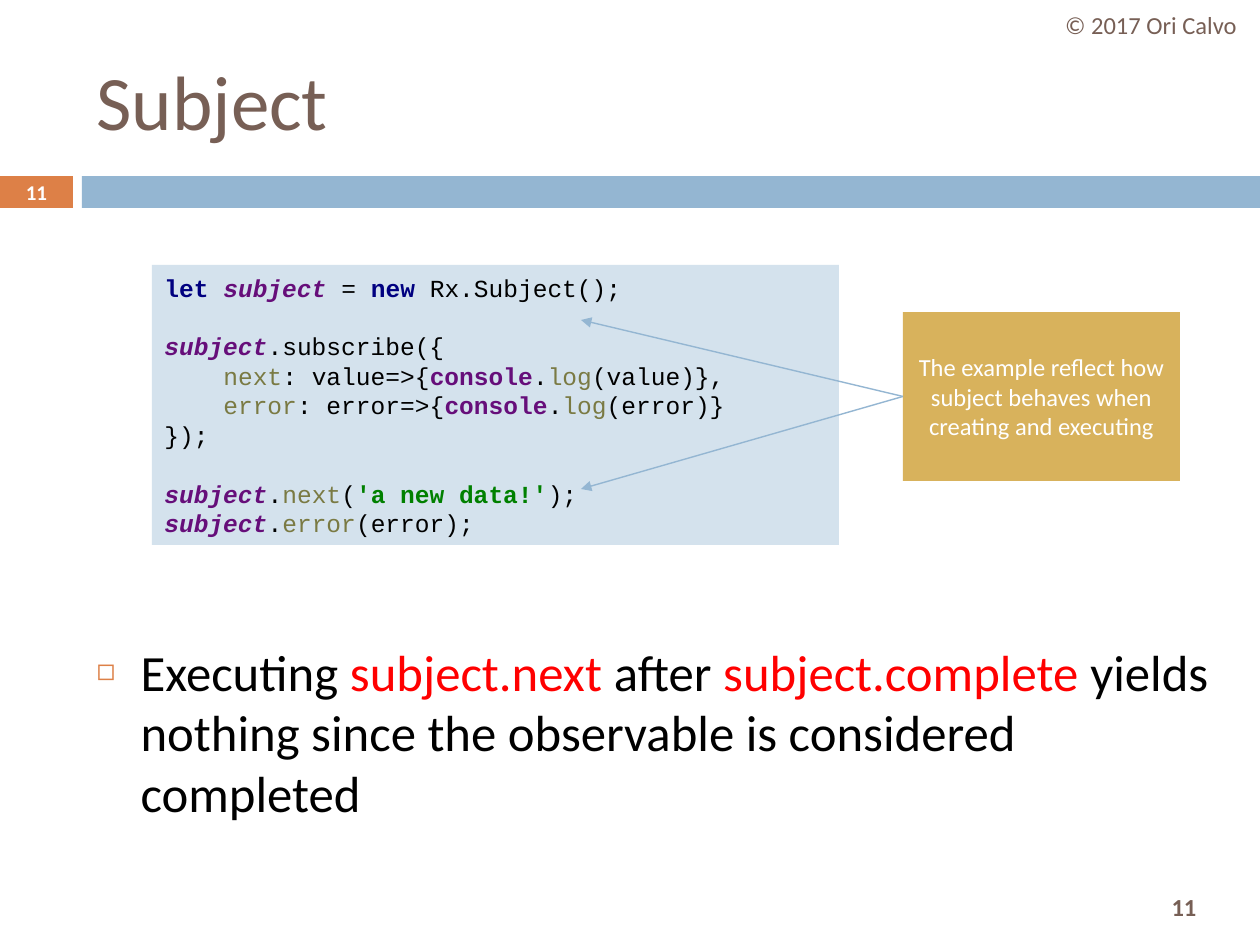
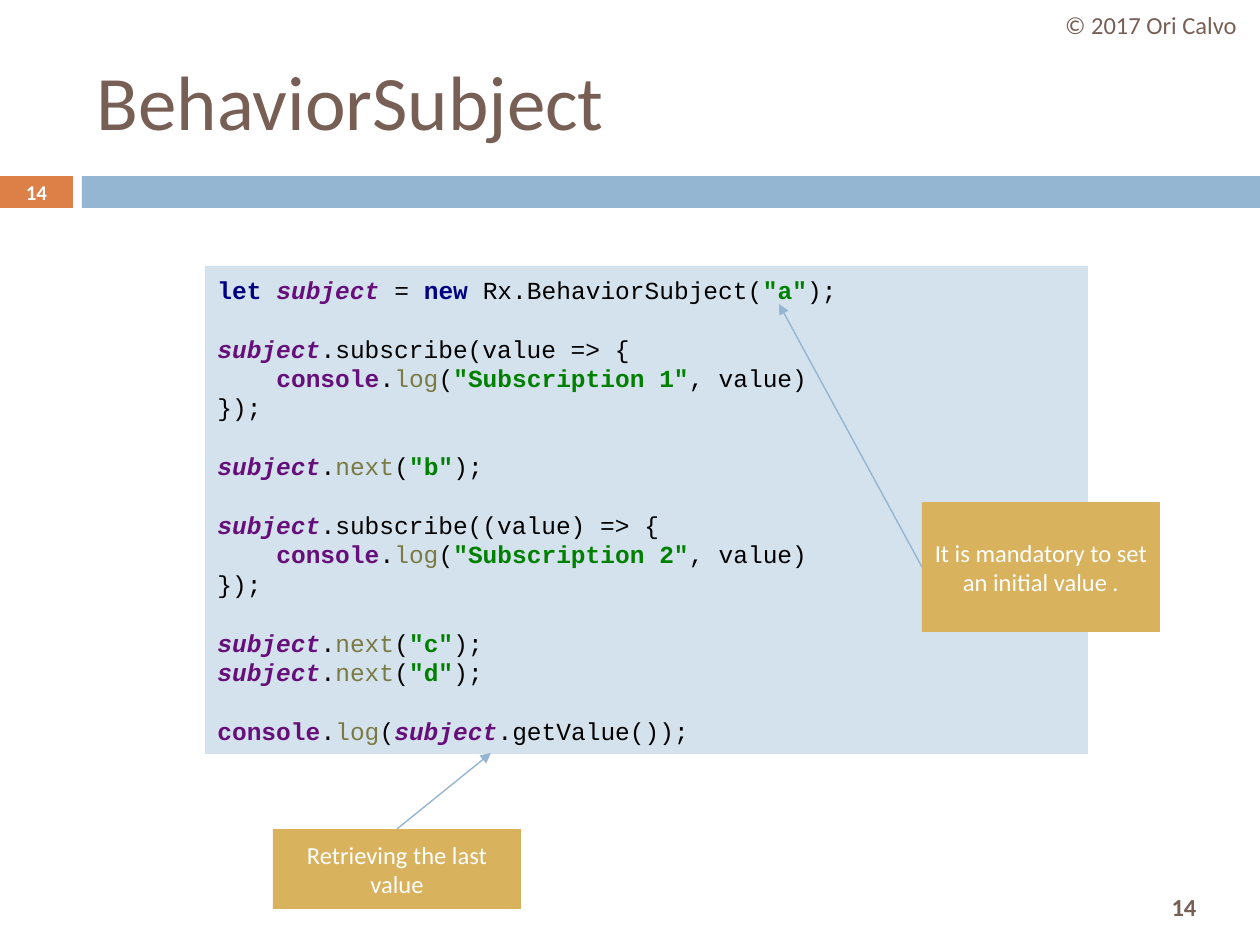
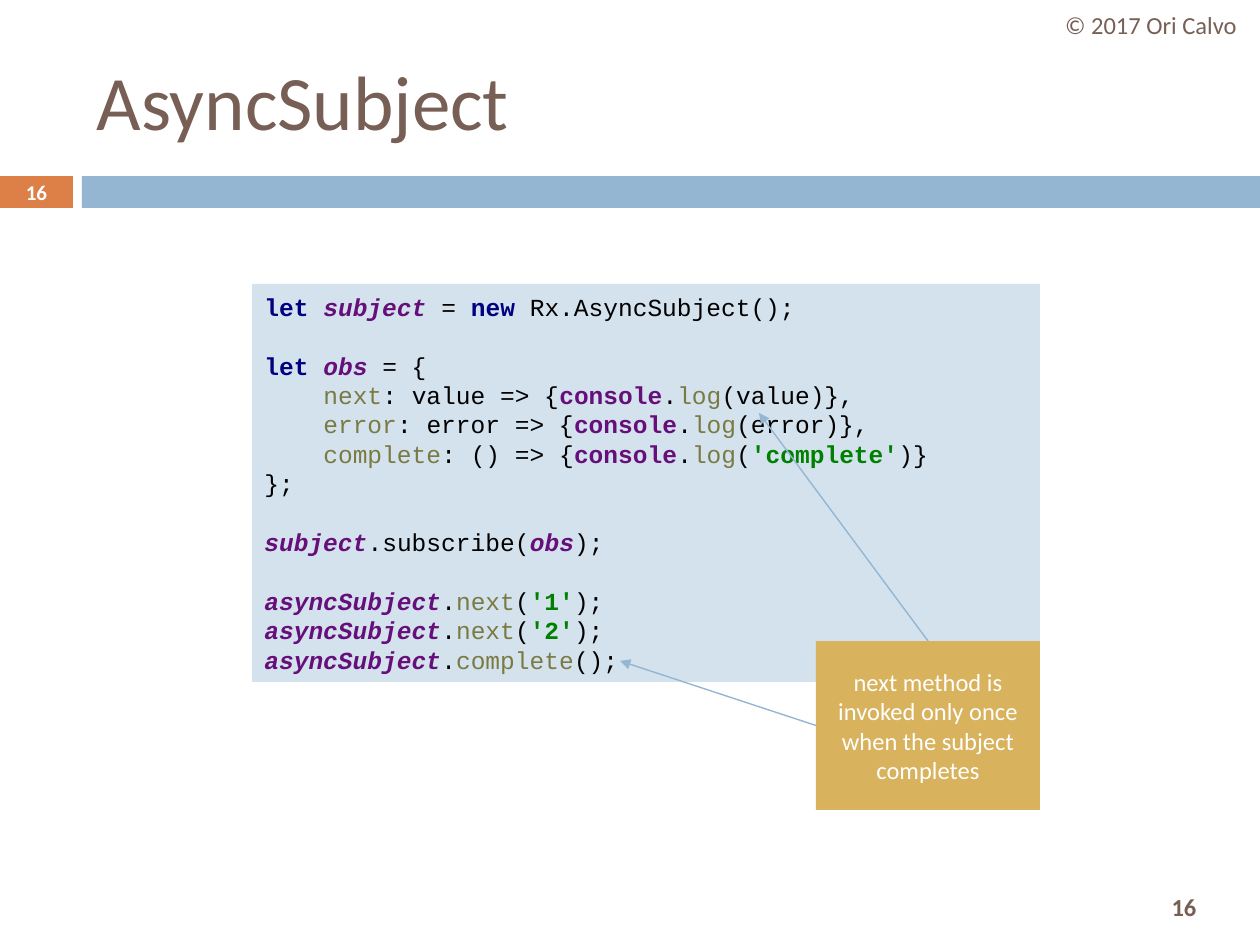
from itertools import groupby

from lxml.etree import SubElement
from pptx import Presentation
from pptx.dml.color import RGBColor
from pptx.enum.shapes import MSO_CONNECTOR, MSO_SHAPE
from pptx.enum.text import MSO_ANCHOR, MSO_AUTO_SIZE, PP_ALIGN
from pptx.oxml.ns import qn
from pptx.util import Emu, Pt

WHITE = RGBColor(0xFF, 0xFF, 0xFF)
BLACK = RGBColor(0x00, 0x00, 0x00)
RED = RGBColor(0xFF, 0x00, 0x00)
BROWN = RGBColor(0x77, 0x5F, 0x55)
ORANGE = RGBColor(0xDD, 0x80, 0x47)
BLUE = RGBColor(0x94, 0xB6, 0xD2)
PALE_BLUE = RGBColor(0xD4, 0xE2, 0xED)
GOLD = RGBColor(0xD8, 0xB2, 0x5C)
NAVY = RGBColor(0x00, 0x00, 0x80)
PURPLE = RGBColor(0x66, 0x0E, 0x7A)
OLIVE = RGBColor(0x7A, 0x7A, 0x43)
GREEN = RGBColor(0x00, 0x80, 0x00)

TEXT_FONT = "Calibri"
CODE_FONT = "Courier New"
CODE_SIZE = 14
COPYRIGHT = "© 2017 Ori Calvo"

KEYWORDS = {"let", "new"}
VARIABLES = {"subject", "asyncSubject", "obs"}
MEMBERS = {"next", "error", "complete", "log"}

# Connection sites of a rectangle
TOP, LEFT = 0, 1

# Boxes are (left, top, width, height) in px; an arrow is (side of the note, tip)
SLIDES = [
    {
        "title": "Subject",
        "number": 11,
        "code_box": (152, 265, 687, 280),
        "code": """\
let subject = new Rx.Subject();

subject.subscribe({
    next: value=>{console.log(value)},
    error: error=>{console.log(error)}
});

subject.next('a new data!');
subject.error(error);""",
        "notes": [
            {
                "text": "The example reflect how subject behaves when creating and executing",
                "box": (903, 312, 277, 169),
                "arrows": [(LEFT, (581, 489)), (LEFT, (581, 320))],
            },
        ],
        "bullet": [
            ("Executing ", BLACK),
            ("subject.next", RED),
            (" after ", BLACK),
            ("subject.complete", RED),
            (" yields nothing since the observable is considered completed", BLACK),
        ],
    },
    {
        "title": "BehaviorSubject",
        "number": 14,
        "code_box": (205, 266, 883, 488),
        "code": """\
let subject = new Rx.BehaviorSubject("a");

subject.subscribe(value => {
    console.log("Subscription 1", value)
});

subject.next("b");

subject.subscribe((value) => {
    console.log("Subscription 2", value)
});

subject.next("c");
subject.next("d");

console.log(subject.getValue());""",
        "notes": [
            {
                "text": "It is mandatory to set an initial value .",
                "box": (922, 502, 238, 130),
                "arrows": [(LEFT, (779, 304))],
            },
            {
                "text": "Retrieving the last value",
                "box": (273, 829, 248, 80),
                "arrows": [(TOP, (491, 753))],
            },
        ],
    },
    {
        "title": "AsyncSubject",
        "number": 16,
        "code_box": (252, 284, 788, 398),
        "code": """\
let subject = new Rx.AsyncSubject();

let obs = {
    next: value => {console.log(value)},
    error: error => {console.log(error)},
    complete: () => {console.log('complete')}
};

subject.subscribe(obs);

asyncSubject.next('1');
asyncSubject.next('2');
asyncSubject.complete();""",
        "notes": [
            {
                "text": "next method is invoked only once when the subject completes",
                "box": (816, 641, 224, 169),
                "arrows": [(TOP, (759, 413)), (LEFT, (620, 661))],
            },
        ],
    },
]


def px(length):
    return Emu(round(length * 914400 / 126))


def place(shape, box):
    shape.left, shape.top, shape.width, shape.height = map(px, box)


def add_run(paragraph, text, size, color, bold=False, italic=False, font=TEXT_FONT):
    run = paragraph.add_run()
    run.text = text
    run.font.name = font
    run.font.size = Pt(size)
    run.font.color.rgb = color
    run.font.bold = bold
    run.font.italic = italic


def prepare_text(shape, alignment, anchor=MSO_ANCHOR.MIDDLE):
    """Set wrapping and alignment, and return the first paragraph."""
    frame = shape.text_frame
    frame.word_wrap = True
    frame.auto_size = MSO_AUTO_SIZE.NONE
    frame.vertical_anchor = anchor
    paragraph = frame.paragraphs[0]
    paragraph.alignment = alignment
    return paragraph


def add_rectangle(slide, box, color):
    shape = slide.shapes.add_shape(MSO_SHAPE.RECTANGLE, *map(px, box))
    shape.shadow.inherit = False
    shape.fill.solid()
    shape.fill.fore_color.rgb = color
    shape.line.fill.background()
    return shape


def add_label(slide, box, text, size, color, bold=False):
    label = slide.shapes.add_textbox(*map(px, box))
    add_run(prepare_text(label, PP_ALIGN.CENTER), text, size, color, bold)


def add_frame(slide, title, number):
    """Add what all slides share: title, bands, copyright and slide numbers."""
    add_rectangle(slide, (0, 176, 73, 32), ORANGE)
    add_rectangle(slide, (82, 176, 1178, 32), BLUE)
    place(slide.shapes.title, (84, 32, 1124, 136))
    add_run(prepare_text(slide.shapes.title, PP_ALIGN.LEFT), title, 44, BROWN)
    add_label(slide, (1042, 0, 218, 50), COPYRIGHT, 14, BROWN)
    add_label(slide, (0, 175, 73, 34), str(number), 12, WHITE, bold=True)
    add_label(slide, (1126, 880, 116, 53), str(number), 14, BROWN, bold=True)


def split_tokens(line):
    """Split a code line into words, quoted strings and single characters."""
    tokens = []
    quote = None
    for character in line:
        if quote:
            tokens[-1] += character
            if character == quote:
                quote = None
        elif tokens and character.isalnum() and tokens[-1].isalnum():
            tokens[-1] += character
        else:
            tokens.append(character)
            if character in "'\"":
                quote = character
    return tokens


def token_style(before, token, after):
    """Return colour, bold and italic."""
    if token in KEYWORDS:
        return NAVY, True, False
    if token in VARIABLES:
        return PURPLE, True, True
    if token == "console":
        return PURPLE, True, False
    if token in MEMBERS and (before == "." or after == ":"):
        return OLIVE, False, False
    if token[0] in "'\"":
        return GREEN, True, False
    return BLACK, False, False


def add_code_break(paragraph):
    paragraph.add_line_break()
    properties = SubElement(paragraph._p[-1], qn("a:rPr"), sz=str(CODE_SIZE * 100))
    SubElement(properties, qn("a:latin"), typeface=CODE_FONT)


def add_code(slide, box, code):
    paragraph = prepare_text(add_rectangle(slide, box, PALE_BLUE), PP_ALIGN.LEFT)
    for index, line in enumerate(code.split("\n")):
        if index:
            add_code_break(paragraph)
        tokens = split_tokens(line)
        styles = map(token_style, [""] + tokens, tokens, tokens[1:] + [""])
        for style, group in groupby(zip(styles, tokens), key=lambda pair: pair[0]):
            text = "".join(token for _, token in group)
            add_run(paragraph, text, CODE_SIZE, *style, font=CODE_FONT)


def add_arrow(slide, note, side, tip):
    x, y = map(px, tip)
    arrow = slide.shapes.add_connector(MSO_CONNECTOR.STRAIGHT, x, y, x, y)
    arrow.begin_connect(note, side)
    arrow.line.color.rgb = BLUE
    arrow.line.width = Pt(0.79)
    SubElement(arrow.line._get_or_add_ln(), qn("a:tailEnd"), type="triangle")
    SubElement(arrow._element.spPr, qn("a:effectLst"))


def add_note(slide, text, box, arrows):
    note = add_rectangle(slide, box, GOLD)
    add_run(prepare_text(note, PP_ALIGN.CENTER), text, 14, WHITE)
    for side, tip in arrows:
        add_arrow(slide, note, side, tip)


def add_bullet(slide, parts):
    body = slide.placeholders[1]
    place(body, (84, 634, 1150, 203))
    paragraph = prepare_text(body, PP_ALIGN.LEFT, MSO_ANCHOR.TOP)
    paragraph.space_before = Pt(0)
    properties = paragraph._p.get_or_add_pPr()
    indent = px(44)
    properties.set("marL", str(indent))
    properties.set("indent", str(-indent))
    bullet_color = SubElement(properties, qn("a:buClr"))
    SubElement(bullet_color, qn("a:srgbClr"), val=str(ORANGE))
    SubElement(properties, qn("a:buSzPct"), val="60000")
    SubElement(properties, qn("a:buChar"), char="◻")
    for text, color in parts:
        add_run(paragraph, text, 29, color)


def main():
    presentation = Presentation()
    presentation.slide_width, presentation.slide_height = px(1260), px(945)
    for content in SLIDES:
        bullet = content.get("bullet")
        layout_name = "Title and Content" if bullet else "Title Only"
        layout = presentation.slide_layouts.get_by_name(layout_name)
        slide = presentation.slides.add_slide(layout)
        add_frame(slide, content["title"], content["number"])
        add_code(slide, content["code_box"], content["code"])
        for note in content["notes"]:
            add_note(slide, **note)
        if bullet:
            add_bullet(slide, bullet)
    presentation.save("out.pptx")


if __name__ == "__main__":
    main()
